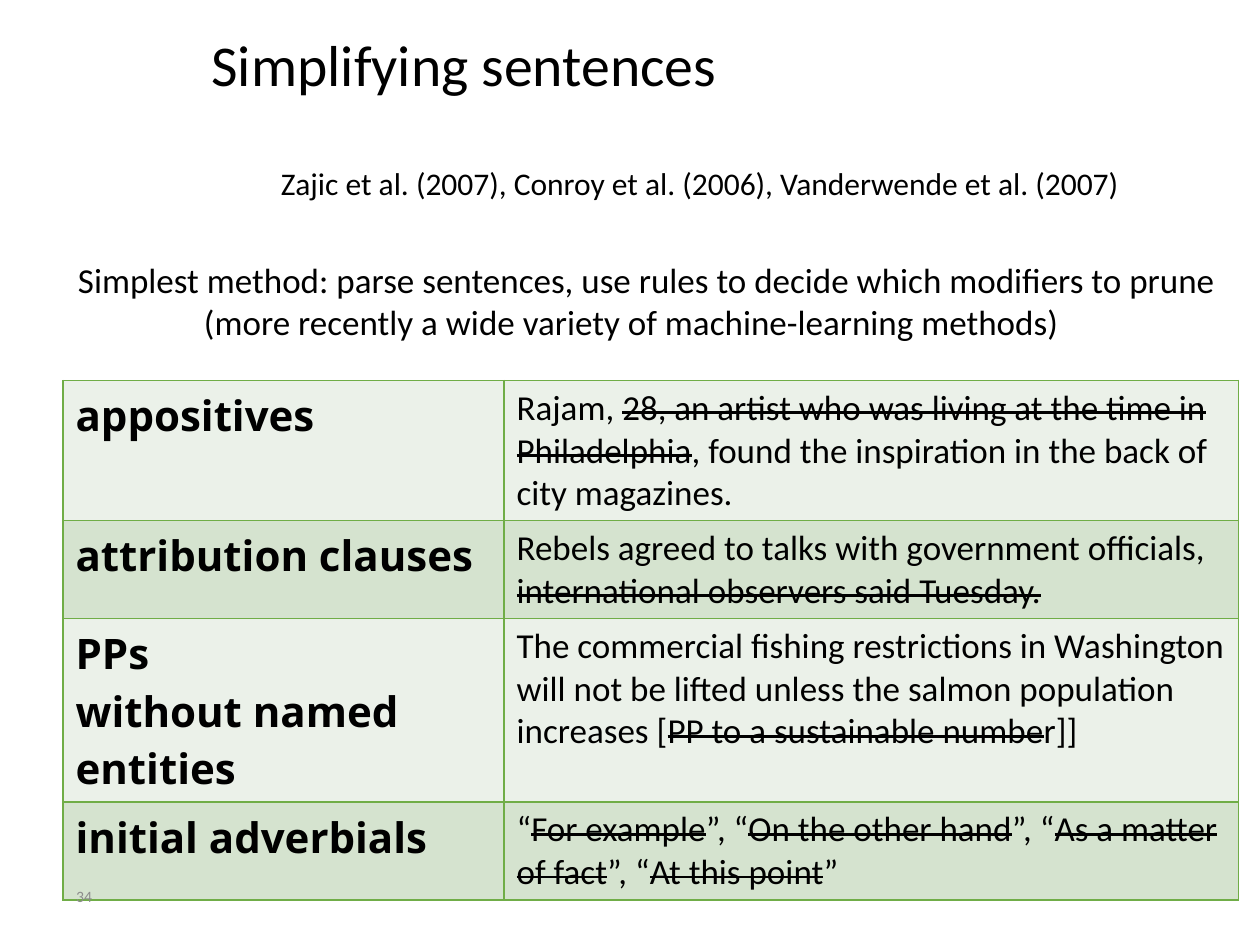
from dataclasses import dataclass

import lxml.etree
import pptx
import pptx.dml.color
import pptx.enum.text
import pptx.oxml.ns
import pptx.util

Pt = pptx.util.Pt
Align = pptx.enum.text.PP_ALIGN
Anchor = pptx.enum.text.MSO_ANCHOR
qn = pptx.oxml.ns.qn

HUES = {
    "ink": "000000",
    "gray": "8C8C8C",
    "edge": "70AD47",
    "pale": "EBF1E9",
    "deep": "D5E3CF",
}
MARK = "~"  # encloses struck-out words


@dataclass
class Rule:
    name: str
    case: str
    high: float


@dataclass
class Note:
    text: str
    left: float
    top: float
    wide: float
    high: float
    size: float
    hue: str = "ink"
    wrap: bool = True
    mid: bool = False
    align: Align = Align.LEFT
    space: float = 1.0
    dent: float = 0  # left indent of the lines after the first


NOTES = [
    Note("Simplifying sentences", 113.76, 0, 581.76, 77.76, 33,
         mid=True, space=0.9),
    Note("34", 23.76, 493.92, 36, 36, 9, hue="gray", mid=True,
         align=Align.RIGHT),
    Note("Zajic et al. (2007), Conroy et al. (2006), Vanderwende et al. (2007)",
         153.36, 90, 500.4, 28.8, 18, wrap=False),
    Note("Simplest method: parse sentences, use rules to decide which "
         "modifiers to prune\n"
         "(more recently a wide variety of machine-learning methods)",
         37.44, 144, 671.04, 55.44, 20, wrap=False, dent=72),
]

RULES = [
    Rule("appositives",
         "Rajam, ~28, an artist who was living at the time in Philadelphia~"
         ", found the inspiration in the back of city magazines.", 80),
    Rule("attribution clauses",
         "Rebels agreed to talks with government officials, "
         "~international observers said Tuesday.~", 56),
    Rule("PPs\nwithout named entities",
         "The commercial fishing restrictions in Washington will not be "
         "lifted unless the salmon population increases "
         "[~PP to a sustainable numbe~r]]", 105),
    Rule("initial adverbials",
         "“~For example~”, “~On the other hand~”, “~As a matter of fact~”, "
         "“~At this point~”", 56),
]
COLS = (252, 419.76)


def tint(key: str) -> pptx.dml.color.RGBColor:
    return pptx.dml.color.RGBColor.from_string(HUES[key])


def write(frame, text: str, *, size: float, face: str = "Calibri",
          hue: str = "ink", bold: bool = False, align: Align = Align.LEFT,
          space: float = 1.0, dent: float = 0) -> None:
    """Fill a text frame, one paragraph a line, striking out marked words."""
    for row, line in enumerate(text.split("\n")):
        para = frame.add_paragraph() if row else frame.paragraphs[0]
        para.alignment = align
        para.line_spacing = space
        if row and dent:
            props = para._p.get_or_add_pPr()
            props.set("marL", str(Pt(dent)))
            props.set("indent", "0")
        for spot, part in enumerate(line.split(MARK)):
            if not part:
                continue
            run = para.add_run()
            run.text = part
            font = run.font
            font.size, font.name, font.bold = Pt(size), face, bold
            font.color.rgb = tint(hue)
            if spot % 2:
                run._r.get_or_add_rPr().set("strike", "sngStrike")


def draw_note(slide, note: Note) -> None:
    box = slide.shapes.add_textbox(
        Pt(note.left), Pt(note.top), Pt(note.wide), Pt(note.high))
    frame = box.text_frame
    frame.word_wrap = note.wrap
    frame.vertical_anchor = Anchor.MIDDLE if note.mid else Anchor.TOP
    write(frame, note.text, size=note.size, hue=note.hue, align=note.align,
          space=note.space, dent=note.dent)


def edge(cell) -> None:
    """Draw a thin line on all four sides; borders come before the fill."""
    props = cell._tc.get_or_add_tcPr()
    for spot, side in enumerate(("lnL", "lnR", "lnT", "lnB")):
        line = lxml.etree.Element(qn("a:" + side), w=str(Pt(1)))
        fill = lxml.etree.SubElement(line, qn("a:solidFill"))
        lxml.etree.SubElement(fill, qn("a:srgbClr"), val=HUES["edge"])
        props.insert(spot, line)


def draw_rules(slide, rules: list[Rule]) -> None:
    high = sum(rule.high for rule in rules)
    table = slide.shapes.add_table(
        len(rules), len(COLS), Pt(36), Pt(217.44),
        Pt(sum(COLS)), Pt(high)).table
    table.first_row = False
    table.horz_banding = False
    for col, wide in zip(table.columns, COLS):
        col.width = Pt(wide)
    for row, rule in enumerate(rules):
        table.rows[row].height = Pt(rule.high)
        name, case = table.cell(row, 0), table.cell(row, 1)
        write(name.text_frame, rule.name, size=24, face="Open Sans", bold=True)
        write(case.text_frame, rule.case, size=20)
        for cell in (name, case):
            cell.fill.solid()
            cell.fill.fore_color.rgb = tint("deep" if row % 2 else "pale")
            edge(cell)


def main() -> None:
    deck = pptx.Presentation()
    deck.slide_width, deck.slide_height = Pt(720), Pt(540)
    slide = deck.slides.add_slide(deck.slide_layouts[6])

    # Title, then the table, then the texts that lie above it
    title, *rest = NOTES
    draw_note(slide, title)
    draw_rules(slide, RULES)
    for note in rest:
        draw_note(slide, note)

    deck.save("out.pptx")


if __name__ == "__main__":
    main()
